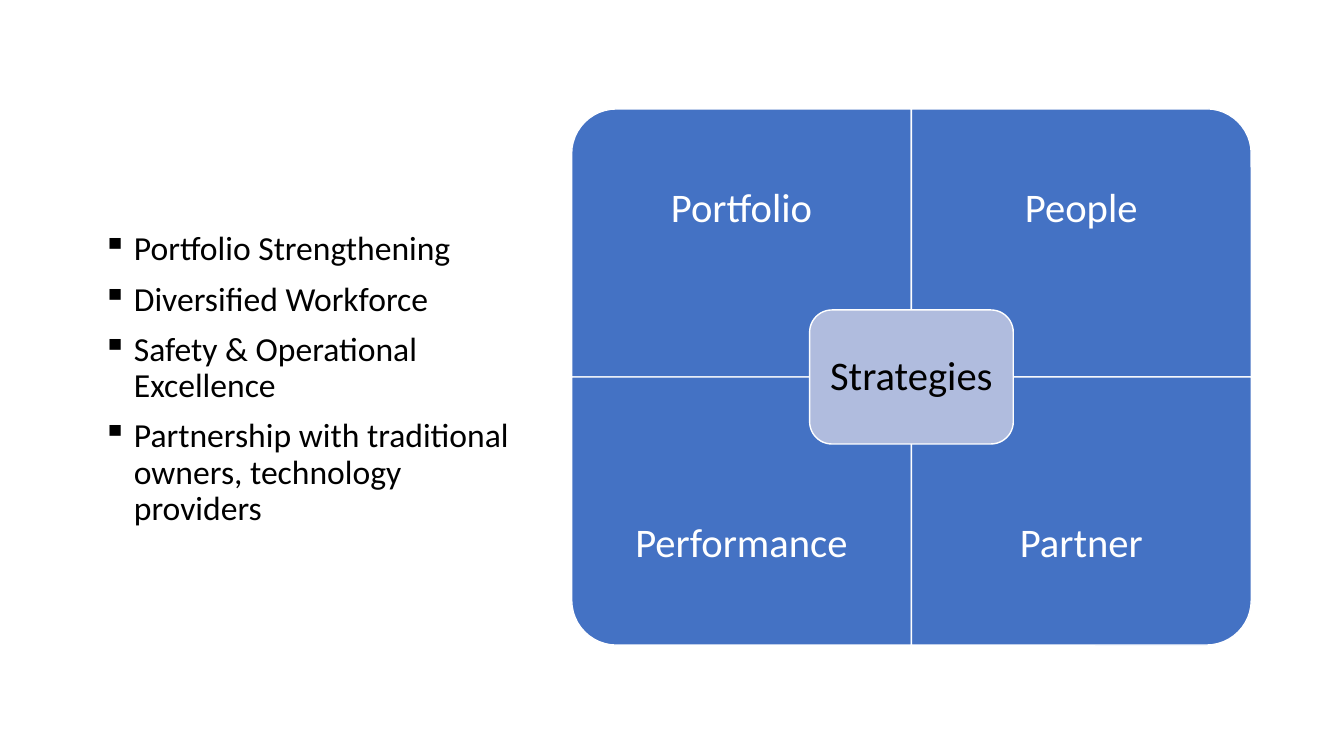
"""Build a slide that pairs strategy bullets with a four-part matrix."""
from typing import NamedTuple

from lxml.etree import SubElement
from pptx import Presentation
from pptx.dml.color import RGBColor
from pptx.enum.shapes import MSO_SHAPE
from pptx.enum.text import MSO_ANCHOR, PP_ALIGN
from pptx.oxml.ns import qn
from pptx.shapes.autoshape import Shape
from pptx.slide import Slide
from pptx.util import Inches, Pt

BLUE = RGBColor(0x44, 0x72, 0xC4)
LAVENDER = RGBColor(0xB0, 0xBC, 0xDE)
WHITE = RGBColor(0xFF, 0xFF, 0xFF)
BLACK = RGBColor(0x00, 0x00, 0x00)
FONT = "Calibri"

MATRIX_LEFT, MATRIX_TOP = 5.67, 1.08
QUADRANT_WIDTH, QUADRANT_HEIGHT = 3.37, 2.66
LABEL_HEIGHT = 2.0
HUB_WIDTH, HUB_HEIGHT = 2.02, 1.33


class Quadrant(NamedTuple):
    label: str
    column: int
    row: int
    rotation: int


QUADRANTS = [
    Quadrant("Portfolio", 0, 0, 270),
    Quadrant("People", 1, 0, 0),
    Quadrant("Performance", 0, 1, 180),
    Quadrant("Partner", 1, 1, 90),
]
STRATEGIES = [
    "Portfolio Strengthening",
    "Diversified Workforce",
    "Safety & Operational Excellence",
    "Partnership with traditional owners, technology providers",
]


def add_panel(slide: Slide, preset: MSO_SHAPE, center_x: float, center_y: float,
              width: float, height: float, color: RGBColor) -> Shape:
    """Add a white-edged panel around a centre point."""
    panel = slide.shapes.add_shape(
        preset, Inches(center_x - width / 2), Inches(center_y - height / 2),
        Inches(width), Inches(height))
    panel.shadow.inherit = False
    panel.fill.solid()
    panel.fill.fore_color.rgb = color
    panel.line.color.rgb = WHITE
    panel.line.width = Pt(1)
    return panel


def write_label(holder: Shape, label: str, color: RGBColor, inset: float) -> None:
    """Write one centred label into a shape."""
    frame = holder.text_frame
    frame.word_wrap = True
    frame.vertical_anchor = MSO_ANCHOR.MIDDLE
    frame.margin_left = frame.margin_right = Inches(inset)
    frame.margin_top = frame.margin_bottom = Inches(inset)
    paragraph = frame.paragraphs[0]
    paragraph.text = label
    paragraph.alignment = PP_ALIGN.CENTER
    paragraph.line_spacing = 0.9
    paragraph.font.size = Pt(29)
    paragraph.font.name = FONT
    paragraph.font.color.rgb = color


def add_quadrant(slide: Slide, quadrant: Quadrant) -> None:
    """Add a quadrant with its rounded corner outward and its upright label."""
    left = MATRIX_LEFT + quadrant.column * QUADRANT_WIDTH
    top = MATRIX_TOP + quadrant.row * QUADRANT_HEIGHT
    width, height = QUADRANT_WIDTH, QUADRANT_HEIGHT
    if quadrant.rotation % 180:
        width, height = height, width
    panel = add_panel(slide, MSO_SHAPE.ROUND_1_RECTANGLE, left + QUADRANT_WIDTH / 2,
                      top + QUADRANT_HEIGHT / 2, width, height, BLUE)
    panel.rotation = quadrant.rotation
    label_top = top + quadrant.row * (QUADRANT_HEIGHT - LABEL_HEIGHT)
    label = slide.shapes.add_textbox(Inches(left), Inches(label_top),
                                     Inches(QUADRANT_WIDTH), Inches(LABEL_HEIGHT))
    write_label(label, quadrant.label, WHITE, 0.23)


def add_hub(slide: Slide) -> None:
    """Add the central panel over the meeting point of the quadrants."""
    hub = add_panel(slide, MSO_SHAPE.ROUNDED_RECTANGLE, MATRIX_LEFT + QUADRANT_WIDTH,
                    MATRIX_TOP + QUADRANT_HEIGHT, HUB_WIDTH, HUB_HEIGHT, LAVENDER)
    write_label(hub, "Strategies", BLACK, 0.12)


def add_strategies(slide: Slide) -> None:
    """Add the bulleted list of strategies."""
    frame = slide.shapes.add_textbox(Inches(0.92), Inches(2.25),
                                     Inches(4.3), Inches(4.17)).text_frame
    frame.word_wrap = True
    frame.text = "\n".join(STRATEGIES)
    for paragraph in frame.paragraphs:
        paragraph.line_spacing = 0.9
        paragraph.space_before = Pt(10)
        paragraph.font.size = Pt(24)
        paragraph.font.name = FONT
        paragraph.font.color.rgb = BLACK
        properties = paragraph._p.get_or_add_pPr()
        properties.set("marL", str(Inches(0.31)))
        properties.set("indent", str(-Inches(0.31)))
        bullet = SubElement(properties, qn("a:buChar"), char="▪")
        properties.find(qn("a:defRPr")).addprevious(bullet)


def main() -> None:
    """Build and save the slide."""
    presentation = Presentation()
    presentation.slide_width = Inches(13.33)
    presentation.slide_height = Inches(7.5)
    slide = presentation.slides.add_slide(presentation.slide_layouts[6])
    for quadrant in QUADRANTS:
        add_quadrant(slide, quadrant)
    add_hub(slide)
    add_strategies(slide)
    presentation.save("out.pptx")


if __name__ == "__main__":
    main()
